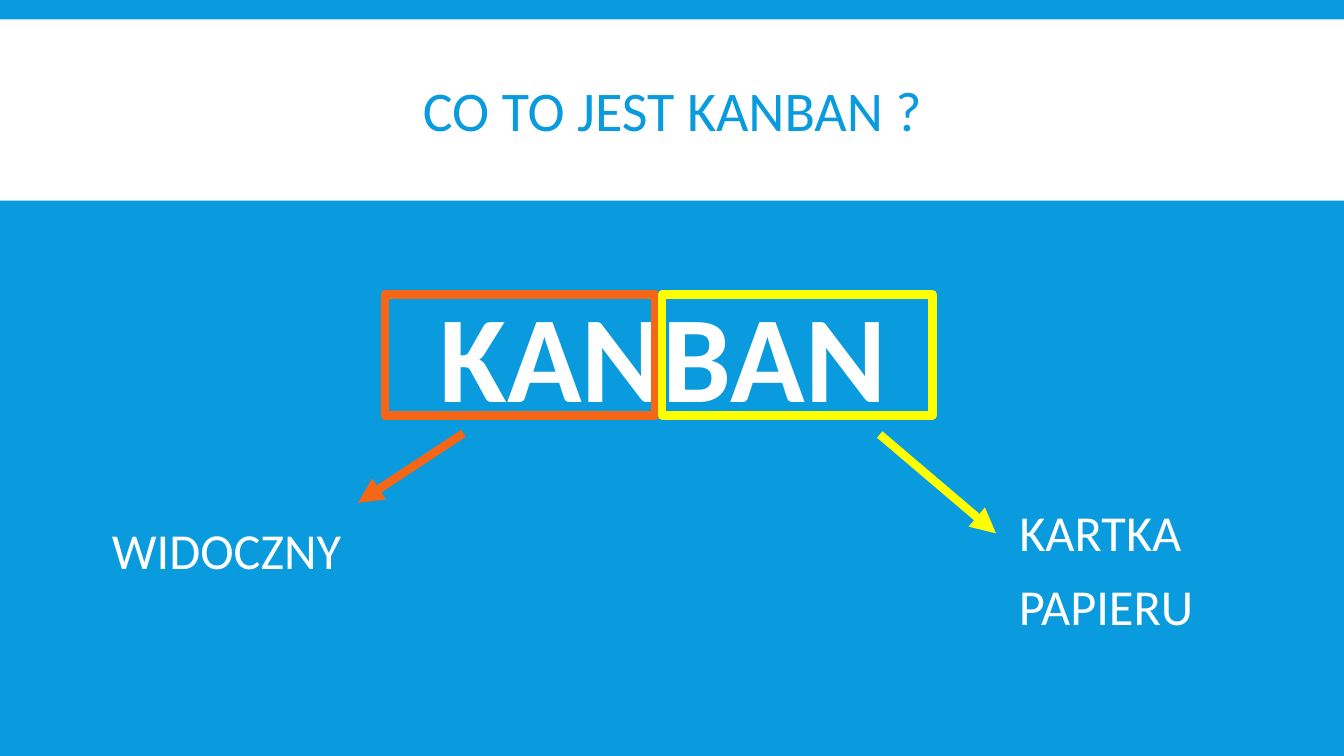
from dataclasses import dataclass

from lxml.etree import SubElement
from pptx import Presentation
from pptx.dml.color import RGBColor
from pptx.enum.shapes import MSO_CONNECTOR as Connector, MSO_SHAPE as Shape
from pptx.enum.text import MSO_ANCHOR as Anchor, PP_ALIGN as Align
from pptx.oxml.ns import qn
from pptx.slide import Slide
from pptx.util import Cm, Pt

COLORS = {"blue": "099BDD", "white": "FFFFFF", "orange": "F56617", "yellow": "FFFF00"}
FONT = "Calibri"
LINE_WIDTH = Pt(6)
FRAME_TOP, FRAME_WIDTH, FRAME_HEIGHT = 7.42, 6.81, 3.05


@dataclass(frozen=True)
class Syllable:
    color: str
    frame_left: float
    arrow_start: tuple[float, float]
    arrow_end: tuple[float, float]


@dataclass(frozen=True)
class Meaning:
    lines: tuple[str, ...]
    box: tuple[float, float, float, float]
    align: Align


SYLLABLES = (
    Syllable("orange", 9.7, (11.68, 10.92), (9.02, 12.67)),
    Syllable("yellow", 16.69, (22.17, 10.95), (25.1, 13.44)),
)
MEANINGS = (
    Meaning(("WIDOCZNY",), (2.57, 13.13, 7.14, 1.75), Align.LEFT),
    Meaning(("KARTKA ", "PAPIERU"), (23.39, 12.67, 8.97, 3.12), Align.CENTER),
)


def color(name: str) -> RGBColor:
    return RGBColor.from_string(COLORS[name])


def add_text(slide: Slide, lines: tuple[str, ...], box: tuple[float, ...], *,
             size: int, ink: str = "white", bold: bool = False,
             align: Align = Align.CENTER, anchor: Anchor = Anchor.TOP,
             line_spacing: float = 1.0, before: int = 0, after: int = 0) -> None:
    frame = slide.shapes.add_textbox(*map(Cm, box)).text_frame
    frame.word_wrap = True
    frame.vertical_anchor = anchor
    for index, line in enumerate(lines):
        paragraph = frame.add_paragraph() if index else frame.paragraphs[0]
        paragraph.alignment = align
        paragraph.line_spacing = line_spacing
        paragraph.space_before, paragraph.space_after = Pt(before), Pt(after)
        run = paragraph.add_run()
        run.text = line
        run.font.name, run.font.size, run.font.bold = FONT, Pt(size), bold
        run.font.color.rgb = color(ink)


def add_band(slide: Slide) -> None:
    band = slide.shapes.add_shape(Shape.RECTANGLE, 0, Cm(0.49), Cm(33.87), Cm(4.57))
    band.shadow.inherit = False
    band.fill.solid()
    band.fill.fore_color.rgb = color("white")
    band.line.fill.background()


def add_frame(slide: Slide, syllable: Syllable) -> None:
    frame = slide.shapes.add_shape(
        Shape.RECTANGLE, Cm(syllable.frame_left), Cm(FRAME_TOP),
        Cm(FRAME_WIDTH), Cm(FRAME_HEIGHT))
    frame.shadow.inherit = False
    frame.fill.background()
    frame.line.color.rgb = color(syllable.color)
    frame.line.width = LINE_WIDTH


def add_arrow(slide: Slide, syllable: Syllable) -> None:
    ends = map(Cm, syllable.arrow_start + syllable.arrow_end)
    arrow = slide.shapes.add_connector(Connector.STRAIGHT, *ends)
    arrow.line.color.rgb = color(syllable.color)
    arrow.line.width = LINE_WIDTH
    properties = arrow.element.spPr
    SubElement(properties.find(qn("a:ln")), qn("a:tailEnd"), type="triangle")
    SubElement(properties, qn("a:effectLst"))


def main() -> None:
    presentation = Presentation()
    presentation.slide_width, presentation.slide_height = Cm(33.87), Cm(19.05)
    slide = presentation.slides.add_slide(presentation.slide_layouts[6])
    slide.background.fill.solid()
    slide.background.fill.fore_color.rgb = color("blue")

    add_band(slide)
    add_text(slide, ("CO TO JEST KANBAN ?",), (3.35, 0.79, 27.18, 4.19),
             size=40, ink="blue", anchor=Anchor.MIDDLE, line_spacing=0.85)
    add_text(slide, ("KANBAN",), (8.31, 6.91, 16.81, 4.01), size=88, bold=True)
    for meaning in MEANINGS:
        add_text(slide, meaning.lines, meaning.box, size=36, align=meaning.align,
                 line_spacing=0.9, before=12, after=2)
    for syllable in SYLLABLES:
        add_frame(slide, syllable)
        add_arrow(slide, syllable)

    presentation.save("out.pptx")


if __name__ == "__main__":
    main()
